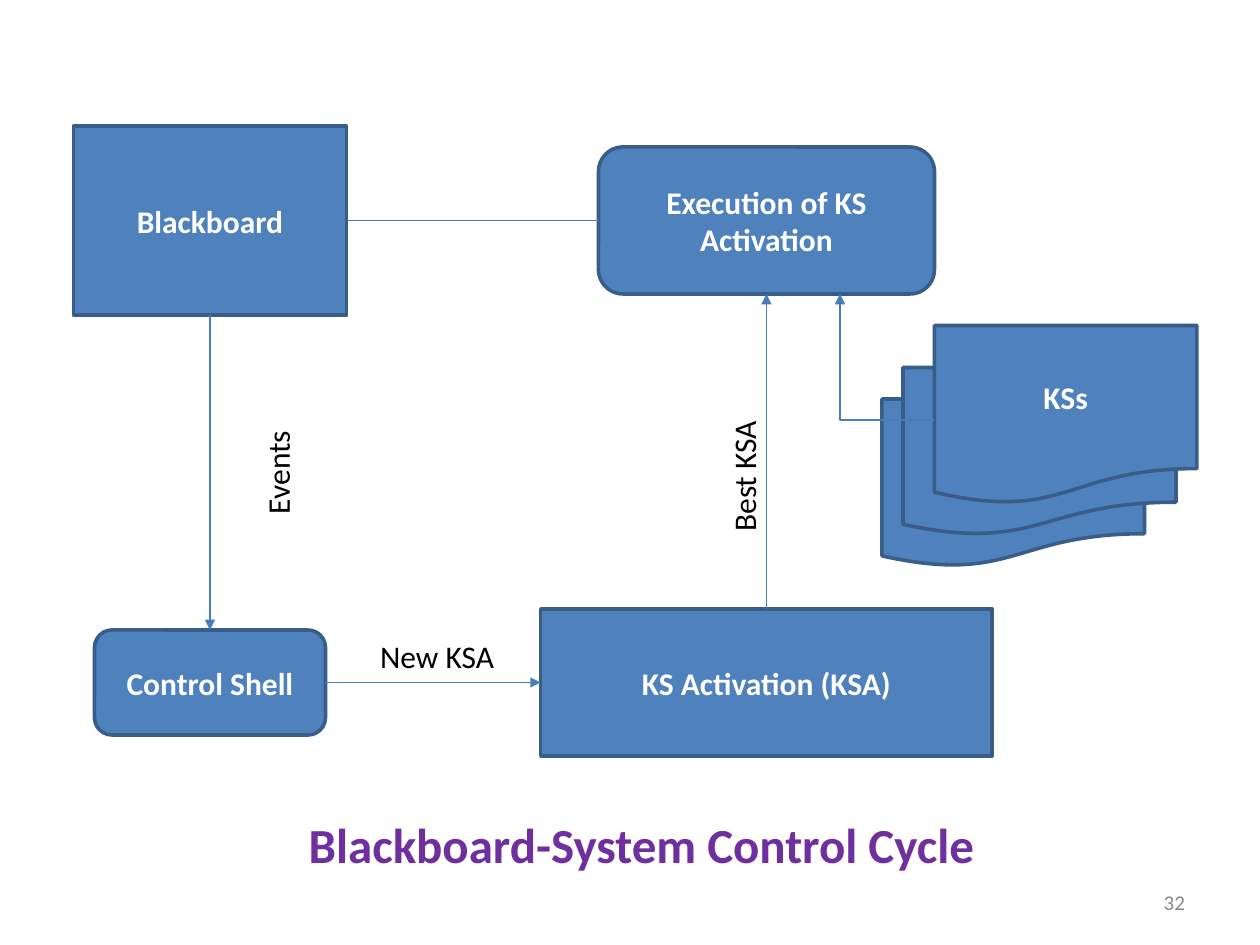
import lxml.etree
import pptx
import pptx.dml.color
import pptx.enum.shapes
import pptx.enum.text
import pptx.oxml.ns
import pptx.util

BLUE = pptx.dml.color.RGBColor(0x4F, 0x81, 0xBC)
EDGE = pptx.dml.color.RGBColor(0x38, 0x5D, 0x89)
ARROW = pptx.dml.color.RGBColor(0x49, 0x7D, 0xBA)
WHITE = pptx.dml.color.RGBColor(0xFF, 0xFF, 0xFF)
BLACK = pptx.dml.color.RGBColor(0, 0, 0)
GREY = pptx.dml.color.RGBColor(0x88, 0x88, 0x88)
PURPLE = pptx.dml.color.RGBColor(0x6F, 0x2F, 0x9F)
KIND = pptx.enum.shapes.MSO_SHAPE
TOP, LEFT, BOTTOM, RIGHT = range(4)

deck = pptx.Presentation()
deck.slide_width = pptx.util.Inches(10)
deck.slide_height = pptx.util.Inches(7.5)
CELL = deck.slide_width / 120
page = deck.slides.add_slide(deck.slide_layouts[5])


def write(box, text, size=18, color=BLACK, bold=False, turn=None):
    frame = box.text_frame
    frame.text = text
    frame.word_wrap = True
    frame.auto_size = pptx.enum.text.MSO_AUTO_SIZE.NONE
    frame.vertical_anchor = pptx.enum.text.MSO_ANCHOR.MIDDLE
    frame.margin_left = frame.margin_right = frame.margin_top = frame.margin_bottom = 0
    if turn:
        frame._txBody.bodyPr.set("vert", turn)
    for para in frame.paragraphs:
        para.alignment = pptx.enum.text.PP_ALIGN.CENTER
        for span in para.runs:
            span.font.name = "Calibri"
            span.font.size = pptx.util.Pt(size)
            span.font.bold = bold
            span.font.color.rgb = color


def style_line(shape, arrow):
    shape.line.color.rgb = ARROW
    shape.line.width = pptx.util.Pt(0.72)
    if arrow:
        tail = lxml.etree.SubElement(shape.line._get_or_add_ln(), pptx.oxml.ns.qn("a:tailEnd"))
        tail.set("type", "triangle")


boxes = {}
for name, kind, text, column, row, columns, rows in [
    ("execution", KIND.ROUNDED_RECTANGLE, "Execution of KS\nActivation", 57, 14, 32, 14),
    ("blackboard", KIND.RECTANGLE, "Blackboard", 7, 12, 26, 18),
    ("shell", KIND.ROUNDED_RECTANGLE, "Control Shell", 9, 60, 22, 10),
    ("activation", KIND.RECTANGLE, "KS Activation (KSA)", 51.5, 58, 43, 14),
    ("back source", KIND.FLOWCHART_DOCUMENT, "", 84, 38, 25, 16),
    ("middle source", KIND.FLOWCHART_DOCUMENT, "", 86, 35, 26, 16),
    ("front source", KIND.FLOWCHART_DOCUMENT, "KSs", 89, 31, 25, 17),
]:
    box = page.shapes.add_shape(kind, *[int(n * CELL) for n in (column, row, columns, rows)])
    box.shadow.inherit = False
    box.fill.solid()
    box.fill.fore_color.rgb = BLUE
    box.line.color.rgb = EDGE
    box.line.width = pptx.util.Pt(2.04)
    if text:
        write(box, text, color=WHITE, bold=True)
    boxes[name] = box

for start, start_side, end, end_side, arrow in [
    ("blackboard", RIGHT, "execution", LEFT, False),
    ("blackboard", BOTTOM, "shell", TOP, True),
    ("shell", RIGHT, "activation", LEFT, True),
    ("activation", TOP, "execution", BOTTOM, True),
]:
    link = page.shapes.add_connector(pptx.enum.shapes.MSO_CONNECTOR.STRAIGHT, 0, 0, 0, 0)
    link.begin_connect(boxes[start], start_side)
    link.end_connect(boxes[end], end_side)
    style_line(link, arrow)
    lxml.etree.SubElement(link._element.spPr, pptx.oxml.ns.qn("a:effectLst"))

outline = page.shapes.build_freeform(89, 39.5, scale=CELL)
outline.add_line_segments([(80, 39.5), (80, 28)], close=False)
elbow = outline.convert_to_shape()
elbow.shadow.inherit = False
elbow.fill.background()
style_line(elbow, True)

for text, left, top, width, height, size, color, turn in [
    ("Events", 2.06, 3.3, 0.28, 0.9, 18, BLACK, "vert270"),
    ("Best KSA", 5.76, 3.23, 0.28, 1.1, 18, BLACK, "vert270"),
    ("New KSA", 2.92, 5.04, 1.1, 0.33, 18, BLACK, None),
    ("32", 9.17, 7.06, 0.3, 0.2, 12, GREY, None),
]:
    label = page.shapes.add_textbox(*[pptx.util.Inches(n) for n in (left, top, width, height)])
    write(label, text, size=size, color=color, turn=turn)

title = page.shapes.title
title.left, title.top, title.width, title.height = [
    pptx.util.Inches(n) for n in (2.09, 6.45, 6, 0.5)
]
write(title, "Blackboard-System Control Cycle", size=28, color=PURPLE, bold=True)

deck.save("out.pptx")
